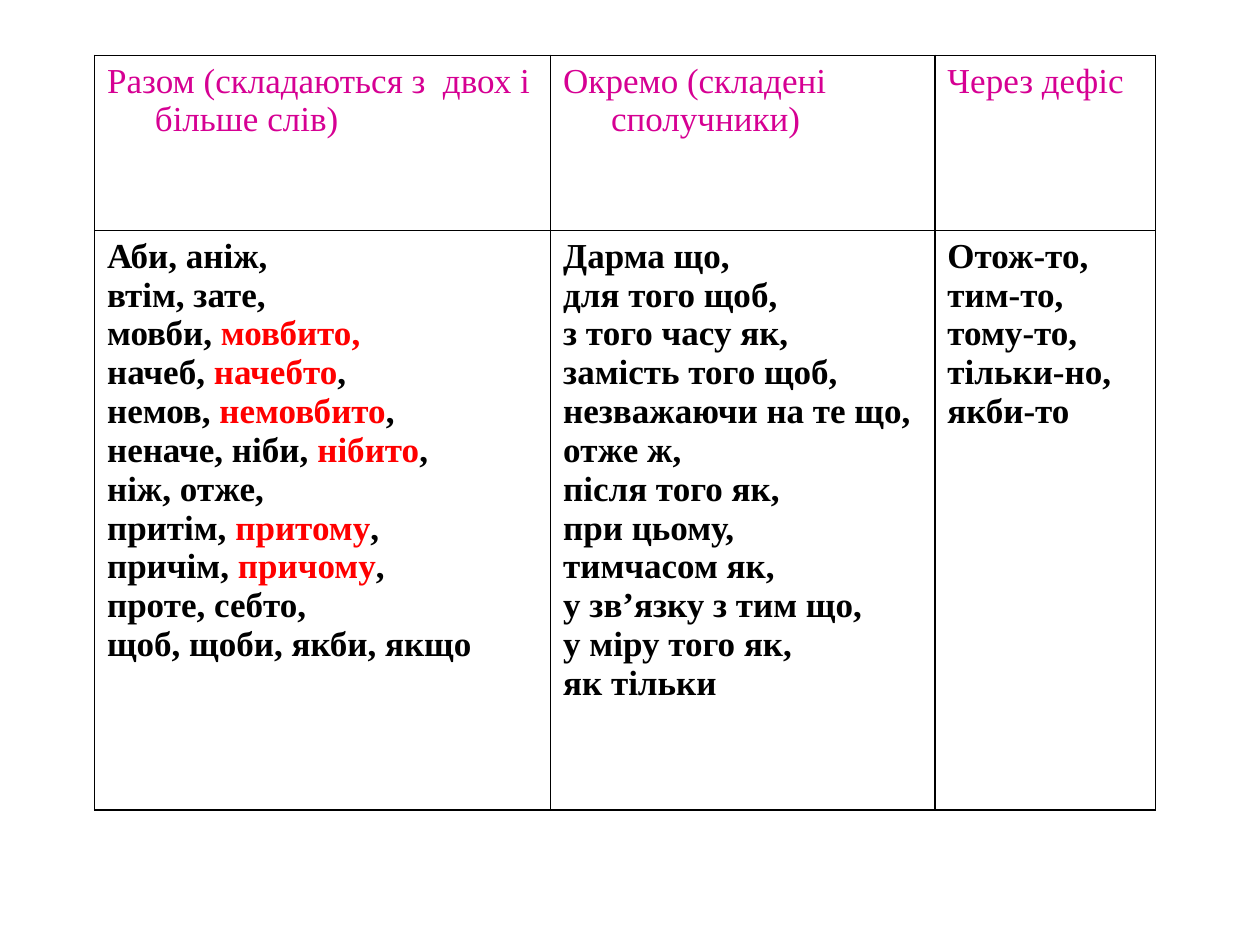
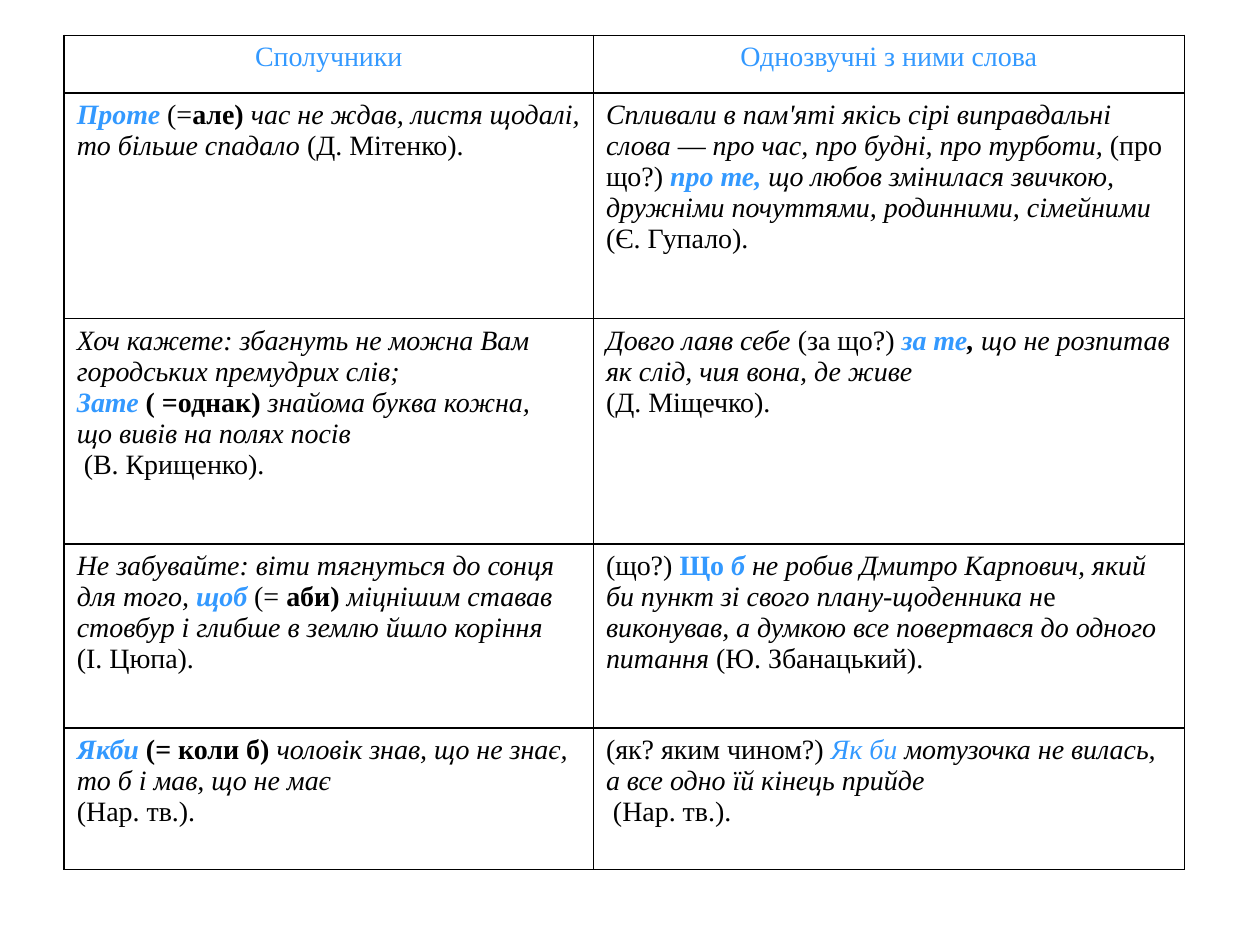
from lxml import etree
from pptx import Presentation
from pptx.dml.color import RGBColor
from pptx.enum.text import PP_ALIGN
from pptx.oxml.ns import qn
from pptx.util import Inches, Pt

LEFT, CENTER = PP_ALIGN.LEFT, PP_ALIGN.CENTER
FONT = "Times New Roman"
BLACK, WHITE = "000000", "FFFFFF"
MAGENTA, RED, BLUE = "D60093", "FF0000", "3399FF"
BORDER_SIDES = ("a:lnL", "a:lnR", "a:lnT", "a:lnB")
BORDER_WIDTH = Pt(1)
HANGING = 0.38


def rgb(color):
    return RGBColor.from_string(color)


def add_grid(slide, left, top, widths, heights, rows, size, accents,
             heading_align=LEFT, hanging=0, fill=None):
    """Add a bordered table.

    rows holds cells, a cell holds paragraphs, a paragraph holds (text, style) runs.
    Style letters: b bold, i italic, and any key of accents for its colour.
    """
    table = slide.shapes.add_table(
        len(heights), len(widths), Inches(left), Inches(top),
        Inches(sum(widths)), Inches(sum(heights))).table
    table.first_row = table.horz_banding = False
    for column, width in zip(table.columns, widths):
        column.width = Inches(width)
    for row, height in zip(table.rows, heights):
        row.height = Inches(height)

    for row_index, row_cells in enumerate(rows):
        for column_index, paragraphs in enumerate(row_cells):
            cell = table.cell(row_index, column_index)
            properties = cell._tc.get_or_add_tcPr()
            for side in BORDER_SIDES:
                line = etree.SubElement(properties, qn(side), w=str(BORDER_WIDTH))
                solid = etree.SubElement(line, qn("a:solidFill"))
                etree.SubElement(solid, qn("a:srgbClr"), val=BLACK)
            if fill:
                cell.fill.solid()
                cell.fill.fore_color.rgb = rgb(fill)
            else:
                cell.fill.background()

            text_frame = cell.text_frame
            for index, runs in enumerate(paragraphs):
                paragraph = text_frame.add_paragraph() if index else text_frame.paragraphs[0]
                paragraph.alignment = heading_align if row_index == 0 else LEFT
                if hanging:
                    paragraph_properties = paragraph._p.get_or_add_pPr()
                    paragraph_properties.set("marL", str(Inches(hanging)))
                    paragraph_properties.set("indent", str(-Inches(hanging)))
                for text, style in runs:
                    run = paragraph.add_run()
                    run.text = text
                    run.font.name = FONT
                    run.font.size = Pt(size)
                    run.font.bold = "b" in style
                    run.font.italic = "i" in style
                    color = next((accents[key] for key in accents if key in style), BLACK)
                    run.font.color.rgb = rgb(color)


presentation = Presentation()
presentation.slide_width = Inches(10)
presentation.slide_height = Inches(7.5)
blank_layout = presentation.slide_layouts[6]

# Slide 1: spelling of conjunctions; the part between bars is highlighted
spelling_headings = [
    "Разом (складаються з  двох і більше слів)",
    "Окремо (складені сполучники)",
    "Через дефіс",
]
spelling_words = [
    ["Аби, аніж,", "втім, зате,", "мовби, |мовбито,", "начеб, |начебто|,",
     "немов, |немовбито|,", "неначе, ніби, |нібито|,", "ніж, отже,",
     "притім, |притому|,", "причім, |причому|,", "проте, себто,",
     "щоб, щоби, якби, якщо"],
    ["Дарма що,", "для того щоб,", "з того часу як,", "замість того щоб,",
     "незважаючи на те що,", "отже ж,", "після того як,", "при цьому,",
     "тимчасом як,", "у зв’язку з тим що,", "у міру того як,", "як тільки"],
    ["Отож-то,", "тим-то,", "тому-то,", "тільки-но,", "якби-то"],
]
spelling_rows = [
    [[[(heading, "h")]] for heading in spelling_headings],
    [[[(part, "bk" if index % 2 else "b") for index, part in enumerate(line.split("|"))]
      for line in lines] for lines in spelling_words],
]
slide = presentation.slides.add_slide(blank_layout)
add_grid(slide, 0.75, 0.44, [3.62, 3.05, 1.75], [1.39, 4.6], spelling_rows,
         20, {"h": MAGENTA, "k": RED}, hanging=HANGING)

# Slide 2: conjunctions beside words that sound the same
homophone_rows = [
    [[[("Сполучники", "k")]], [[("Однозвучні з ними слова", "k")]]],
    [
        [[("Проте ", "bik"), ("(=", ""), ("але) ", "b"),
          ("час не ждав, листя щодалі, то більше спадало ", "i"),
          ("(Д. Мітенко).", "")]],
        [[("Спливали в пам'яті якісь сірі виправдальні слова ", "i"), ("— ", ""),
          ("про час, про будні, про турботи, ", "i"), ("(про що?) ", ""),
          ("про те, ", "bik"),
          ("що любов змінилася звичкою, дружніми почуттями, родинними, сімейними ", "i"),
          ("(Є. Гупало).", "")]],
    ],
    [
        [[("Хоч кажете: збагнуть не можна Вам городських премудрих слів;", "i")],
         [("Зате ", "bik"), ("( =однак) ", "b"), ("знайома буква кожна,", "i")],
         [("що вивів на полях посів", "i")],
         [(" (В. Крищенко).", "")]],
        [[("Довго лаяв себе ", "i"), ("(за що?) ", ""), ("за те", "bik"), (",", "bi"),
          (" що не розпитав як слід, чия вона, де живе", "i")],
         [("(Д. Міщечко).", "")]],
    ],
    [
        [[("Не забувайте: віти тягнуться до сонця для того, ", "i"), ("щоб ", "bik"),
          ("(= ", ""), ("аби) ", "b"),
          ("міцнішим ставав стовбур і глибше в землю йшло коріння", "i")],
         [("(І. Цюпа).", "")]],
        [[("(що?) ", ""), ("Що ", "bk"), ("б", "bik"),
          (" не робив Дмитро Карпович, який би пункт зі свого плану-щоденника н", "i"),
          ("е ", ""), ("виконував, а думкою все повертався до одного питання ", "i"),
          ("(Ю. Збанацький).", "")]],
    ],
    [
        [[("Якби ", "bik"), ("(= коли б) ", "b"),
          ("чоловік знав, що не знає, то б і мав, що не має", "i")],
         [("(Нар. тв.).", "")]],
        [[("(як? яким чином?) ", ""), ("Як би", "ik"),
          (" мотузочка не вилась, а все одно їй кінець прийде", "i")],
         [(" (Нар. тв.).", "")]],
    ],
]
slide = presentation.slides.add_slide(blank_layout)
add_grid(slide, 0.51, 0.28, [4.2, 4.69], [0.46, 1.79, 1.79, 1.46, 1.12], homophone_rows,
         16, {"k": BLUE}, heading_align=CENTER, fill=WHITE)

presentation.save("out.pptx")
